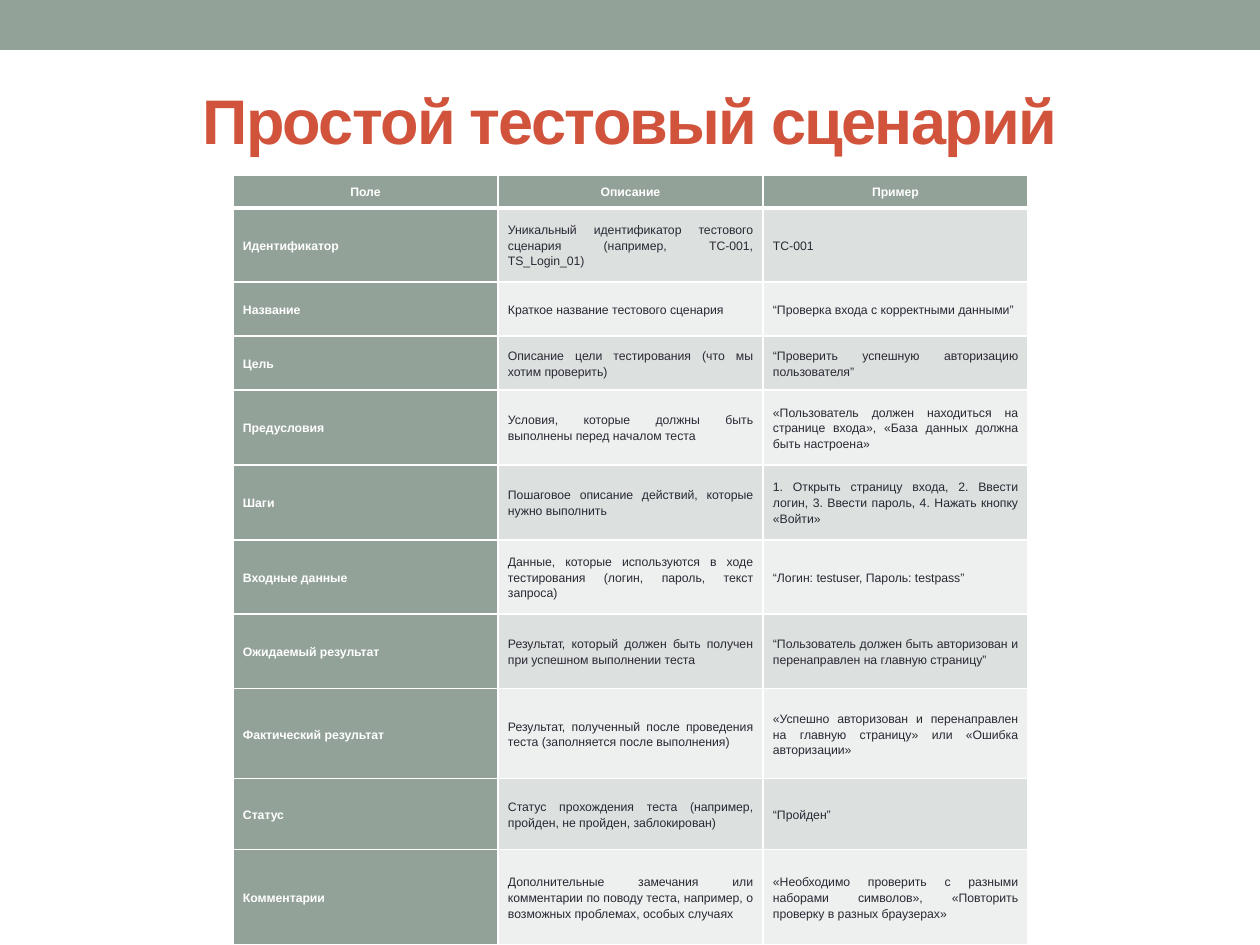
"""Build a slide with a table that describes a simple test scenario."""
from dataclasses import dataclass

from lxml import etree
from pptx import Presentation
from pptx import util as u
from pptx.dml.color import RGBColor
from pptx.enum import shapes, text
from pptx.oxml import ns

SCALE = 914400 / 126
WIDTH, HEIGHT = 1260, 945


def px(n):
    return u.Emu(round(n * SCALE))


@dataclass(frozen=True)
class Theme:
    font: str = "Arial"
    sage: str = "93A299"
    red: str = "D2533C"
    ink: str = "292934"
    white: str = "FFFFFF"
    bands: tuple = ("DCE0DE", "EEF0EF")
    head: int = 36
    body: int = 7
    track: int = -100
    lead: float = 1.15
    thin: int = 1
    thick: int = 3


class Deck:
    def __init__(self, theme):
        self.theme = theme
        self.prs = Presentation()
        self.prs.slide_width, self.prs.slide_height = px(WIDTH), px(HEIGHT)
        self.slide = self.prs.slides.add_slide(self.prs.slide_layouts[6])

    def paint(self, fill, color):
        fill.solid()
        fill.fore_color.rgb = RGBColor.from_string(color)

    def style(self, para, size, color, bold, align):
        para.alignment = align
        font = para.font
        font.name, font.size, font.bold = self.theme.font, u.Pt(size), bold
        font.color.rgb = RGBColor.from_string(color)

    def bar(self, x, y, w, h):
        box = self.slide.shapes.add_shape(
            shapes.MSO_SHAPE.RECTANGLE, px(x), px(y), px(w), px(h))
        box.shadow.inherit = False
        self.paint(box.fill, self.theme.sage)
        box.line.fill.background()

    def title(self, words, x, y, w, h):
        box = self.slide.shapes.add_textbox(px(x), px(y), px(w), px(h))
        frame = box.text_frame
        frame.word_wrap = True
        frame.vertical_anchor = text.MSO_ANCHOR.MIDDLE
        para = frame.paragraphs[0]
        run = para.add_run()
        run.text = words
        self.style(para, self.theme.head, self.theme.red, True,
                   text.PP_ALIGN.CENTER)
        run._r.get_or_add_rPr().set("spc", str(self.theme.track))

    def edges(self, cell, top, bottom):
        props = cell._tc.get_or_add_tcPr()
        thin = self.theme.thin
        sides = {"lnL": thin, "lnR": thin, "lnT": top, "lnB": bottom}
        for i, (side, width) in enumerate(sides.items()):
            line = etree.Element(ns.qn(f"a:{side}"), w=str(u.Pt(width)))
            fill = etree.SubElement(line, ns.qn("a:solidFill"))
            etree.SubElement(fill, ns.qn("a:srgbClr"), val=self.theme.white)
            props.insert(i, line)

    def cell(self, cell, words, row, col):
        theme = self.theme
        key = row == 0 or col == 0
        self.paint(cell.fill, theme.sage if key else theme.bands[(row - 1) % 2])
        cell.vertical_anchor = text.MSO_ANCHOR.MIDDLE
        cell.margin_left = cell.margin_right = px(10)
        cell.margin_top = cell.margin_bottom = px(5)
        cell.text = words
        para = cell.text_frame.paragraphs[0]
        align = text.PP_ALIGN.JUSTIFY if row else text.PP_ALIGN.CENTER
        self.style(para, theme.body, theme.white if key else theme.ink,
                   key, align)
        para.line_spacing = theme.lead
        self.edges(cell, theme.thick if row == 1 else theme.thin,
                   theme.thin if row else theme.thick)

    def table(self, rows, tall, x, y, wide):
        cols = len(rows[0])
        grid = self.slide.shapes.add_table(
            len(rows), cols, px(x), px(y), px(wide * cols), px(sum(tall))).table
        for col in grid.columns:
            col.width = px(wide)
        for r, (row, high) in enumerate(zip(rows, tall)):
            grid.rows[r].height = px(high)
            for c, words in enumerate(row):
                self.cell(grid.cell(r, c), words, r, c)

    def save(self):
        self.prs.save("out.pptx")


ROWS = [
    ("Поле", "Описание", "Пример"),
    ("Идентификатор",
     "Уникальный идентификатор тестового сценария (например, TC-001, TS_Login_01)",
     "ТС-001"),
    ("Название", "Краткое название тестового сценария",
     "“Проверка входа с корректными данными”"),
    ("Цель", "Описание цели тестирования (что мы хотим проверить)",
     "“Проверить успешную авторизацию пользователя”"),
    ("Предусловия",
     "Условия, которые должны быть выполнены перед началом теста",
     "«Пользователь должен находиться на странице входа», "
     "«База данных должна быть настроена»"),
    ("Шаги", "Пошаговое описание действий, которые нужно выполнить",
     "1. Открыть страницу входа, 2. Ввести логин, 3. Ввести пароль, "
     "4. Нажать кнопку «Войти»"),
    ("Входные данные",
     "Данные, которые используются в ходе тестирования "
     "(логин, пароль, текст запроса)",
     "“Логин: testuser, Пароль: testpass”"),
    ("Ожидаемый результат",
     "Результат, который должен быть получен при успешном выполнении теста",
     "“Пользователь должен быть авторизован и перенаправлен "
     "на главную страницу”"),
    ("Фактический результат",
     "Результат, полученный после проведения теста "
     "(заполняется после выполнения)",
     "«Успешно авторизован и перенаправлен на главную страницу» "
     "или «Ошибка авторизации»"),
    ("Статус",
     "Статус прохождения теста (например, пройден, не пройден, заблокирован)",
     "“Пройден”"),
    ("Комментарии",
     "Дополнительные замечания или комментарии по поводу теста, "
     "например, о возможных проблемах, особых случаях",
     "«Необходимо проверить с разными наборами символов», "
     "«Повторить проверку в разных браузерах»"),
]
TALL = [33, 74, 54, 54, 75, 75, 74, 75, 90, 71, 95]


def main():
    deck = Deck(Theme())
    deck.bar(0, 0, WIDTH, 50)
    deck.title("Простой тестовый сценарий", 63, 73, 1134, 92)
    deck.table(ROWS, TALL, 233, 175, 265)
    deck.save()


if __name__ == "__main__":
    main()
